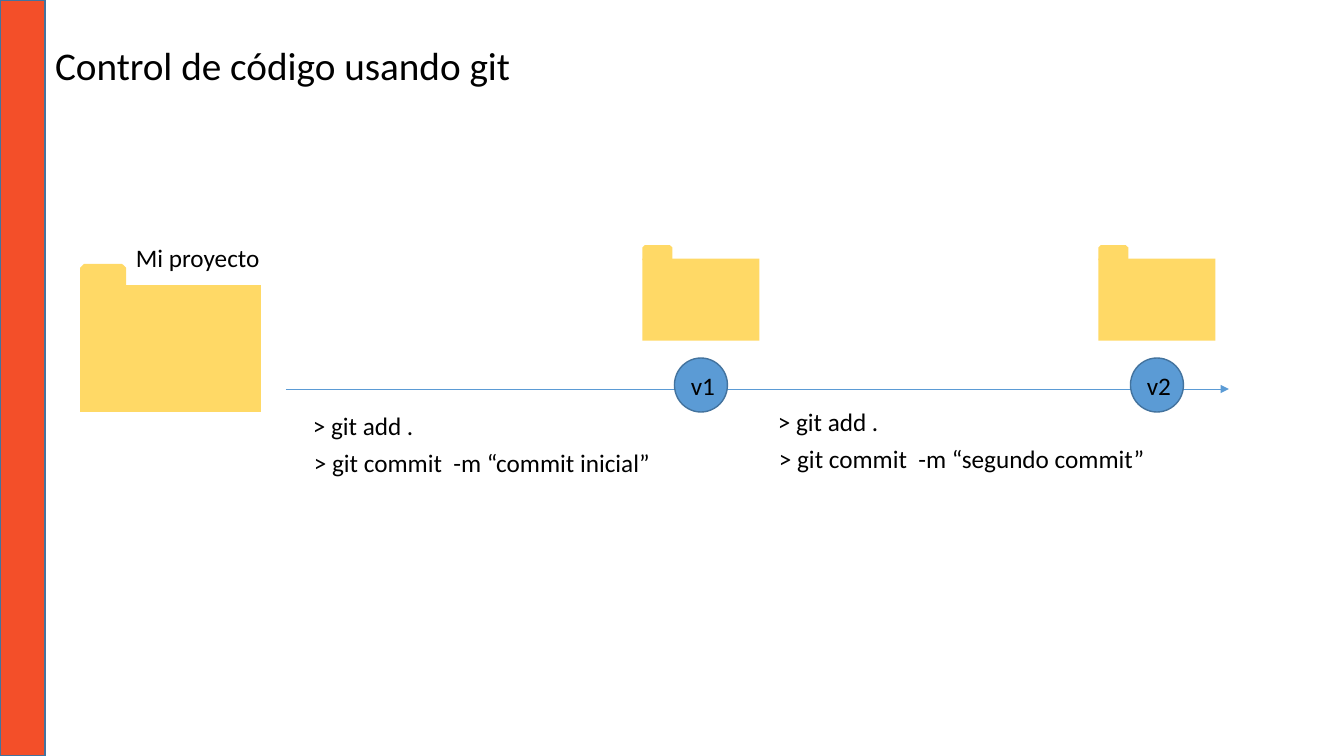
from lxml import etree
from pptx import Presentation
from pptx.dml.color import RGBColor
from pptx.enum.shapes import MSO_CONNECTOR, MSO_SHAPE
from pptx.enum.text import MSO_ANCHOR, MSO_AUTO_SIZE, PP_ALIGN
from pptx.oxml.ns import qn
from pptx.util import Pt

RECTANGLE, OVAL, TAB = MSO_SHAPE.RECTANGLE, MSO_SHAPE.OVAL, MSO_SHAPE.SNIP_2_SAME_RECTANGLE
STRAIGHT = MSO_CONNECTOR.STRAIGHT
LEFT, CENTER = PP_ALIGN.LEFT, PP_ALIGN.CENTER
MIDDLE = MSO_ANCHOR.MIDDLE
FIT_SHAPE = MSO_AUTO_SIZE.SHAPE_TO_FIT_TEXT

BLACK = RGBColor(0x00, 0x00, 0x00)
BLUE = RGBColor(0x5B, 0x9B, 0xD5)
DARK_BLUE = RGBColor(0x43, 0x73, 0x9E)
YELLOW = RGBColor(0xFF, 0xD9, 0x66)
ORANGE = RGBColor(0xF3, 0x4F, 0x29)
FONT = "Calibri"

TITLE = "Control de código usando git"
PROJECT = "Mi proyecto"
# label, circle centre, commands left, commands top, lines with their widths
VERSIONS = [
    ("v1", 701, 303, 405, [("> git add .", 122), ("> git commit  -m “commit inicial”", 360)]),
    ("v2", 1157, 768, 401, [("> git add .", 122), ("> git commit  -m “segundo commit”", 393)]),
]

PX = 914400 / 100.8
SLIDE_WIDTH, SLIDE_HEIGHT = 1344, 756
LINE_HEIGHT, LINE_PITCH = 40, 37
TIMELINE_LEFT, TIMELINE_RIGHT, TIMELINE_Y = 286, 1229, 389
CIRCLE_TOP, CIRCLE_WIDTH, CIRCLE_HEIGHT = 358, 53, 54
FOLDER_TOP, FOLDER_WIDTH = 245, 117


def px(*lengths):
    return [round(length * PX) for length in lengths]


def add_block(kind, left, top, width, height, fill, line=None):
    shape = slide.shapes.add_shape(kind, *px(left, top, width, height))
    shape.shadow.inherit = False
    shape.fill.solid()
    shape.fill.fore_color.rgb = fill
    if line is None:
        shape.line.fill.background()
    else:
        shape.line.color.rgb = line
        shape.line.width = Pt(1)
    return shape


def add_folder(left, top, width):
    add_block(RECTANGLE, left, top + 0.117 * width, width, 0.7 * width, YELLOW)
    add_block(TAB, left, top, 0.255 * width, 0.13 * width, YELLOW)


def write(shape, text, size=18, align=LEFT):
    frame = shape.text_frame
    frame.text = text
    frame.word_wrap = False
    paragraph = frame.paragraphs[0]
    paragraph.alignment = align
    paragraph.font.name = FONT
    paragraph.font.size = Pt(size)
    paragraph.font.color.rgb = BLACK
    return frame


def add_label(text, left, top, width):
    box = slide.shapes.add_textbox(*px(left, top, width, LINE_HEIGHT))
    write(box, text).auto_size = FIT_SHAPE


def add_timeline():
    arrow = slide.shapes.add_connector(
        STRAIGHT, *px(TIMELINE_LEFT, TIMELINE_Y, TIMELINE_RIGHT, TIMELINE_Y))
    arrow.line.color.rgb = BLUE
    arrow.line.width = Pt(0.5)
    etree.SubElement(arrow.line._get_or_add_ln(), qn("a:tailEnd"), type="triangle")
    etree.SubElement(arrow._element.spPr, qn("a:effectLst"))


presentation = Presentation()
presentation.slide_width, presentation.slide_height = px(SLIDE_WIDTH, SLIDE_HEIGHT)
slide = presentation.slides.add_slide(presentation.slide_layouts[5])

title = slide.shapes.title
title.left, title.top, title.width, title.height = px(45, 36, 481, 57)
write(title, TITLE, 28).auto_size = FIT_SHAPE

add_timeline()
add_folder(80, 264, 181)
add_label(PROJECT, 126, 237, 145)
add_block(RECTANGLE, 0, 0, 45, SLIDE_HEIGHT, ORANGE, DARK_BLUE)

for version, center, command_left, command_top, commands in VERSIONS:
    circle = add_block(OVAL, center - CIRCLE_WIDTH / 2, CIRCLE_TOP,
                       CIRCLE_WIDTH, CIRCLE_HEIGHT, BLUE, DARK_BLUE)
    frame = write(circle, version, align=CENTER)
    frame.vertical_anchor = MIDDLE
    frame.margin_left, frame.margin_top, frame.margin_right, frame.margin_bottom = px(4, 0, 0, 0)
    add_folder(center - FOLDER_WIDTH / 2, FOLDER_TOP, FOLDER_WIDTH)
    for row, (command, width) in enumerate(commands):
        add_label(command, command_left + row, command_top + row * LINE_PITCH, width)

presentation.save("out.pptx")
